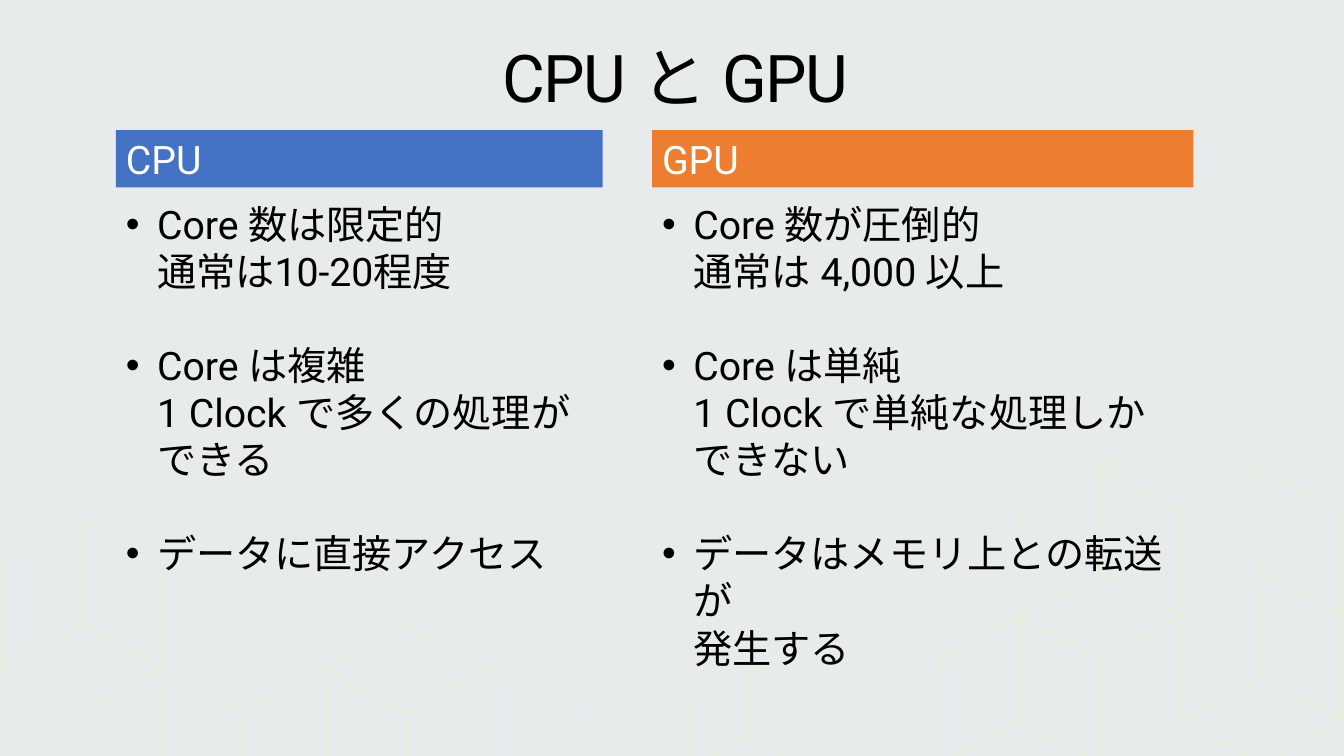
from lxml import etree
from pptx import Presentation
from pptx.dml.color import RGBColor
from pptx.enum.lang import MSO_LANGUAGE_ID as Lang
from pptx.enum.shapes import MSO_CONNECTOR as Conn, MSO_SHAPE as Geo
from pptx.enum.text import MSO_ANCHOR as Anchor, MSO_AUTO_SIZE as Fit, PP_ALIGN as Align
from pptx.oxml.ns import qn
from pptx.util import Inches, Pt

COLS, ROWS = 160, 90
STEP, HALF, EDGE = 9.62, 5.25, 12.39

FACES = {
    "left": [[(0, 0, 0), (-1, 1, 0), (-1, 1, 1), (0, 0, 1)]],
    "right": [[(0, 0, 0), (1, 1, 0), (1, 1, 1), (0, 0, 1)]],
    "top": [[(0, 0, 0), (1, 1, 0), (0, 2, 0), (-1, 1, 0)]],
    "roof": [[(-1, 1, 0), (0, 0, 0), (1, 1, 0)]],
    "box": [
        [(-1, 1, 0), (0, 2, 0), (0, 2, 1), (-1, 3, 1), (-2, 2, 1), (-1, 1, 1)],
        [(0, 0, 0), (1, 1, 0), (0, 2, 0), (-1, 1, 0)],
    ],
}

CUBES = [
    ((111.7, 50.5), 1, [
        ("left", 1, 2, 1), ("right", 1, 2, 1), ("roof", 1, 2, 2),
        ("left", 2, 1, 0), ("box", 3, 0, 0), ("left", 4, 1, 1),
        ("right", 4, 1, 1), ("top", 4, 1, 2), ("right", 4, 1, 0),
    ]),
    ((0.1, 62), 1, [
        ("left", 4, 1, 1), ("right", 2, 1, 1), ("right", 1, 0, 0),
        ("left", 1, 0, 0), ("top", 1, 0, 1), ("box", 5, 0, 1),
        ("right", 6, 1, 1),
    ]),
    ((82.2, 78.7), 0.72, [
        ("left", 1, 0, 0), ("right", 1, 0, 0), ("roof", 1, 0, 1),
    ]),
]

PANELS = [
    ("GPU", "ED7D31", 77.64, 64.44, 62.04, [
        "Core 数が圧倒的\n通常は 4,000 以上",
        "Core は単純\n1 Clock で単純な処理しか\nできない",
        "データはメモリ上との転送が\n発生する",
    ]),
    ("CPU", "4472C4", 13.8, 57.96, 57.96, [
        "Core 数は限定的\n通常は10-20程度",
        "Core は複雑\n1 Clock で多くの処理が\nできる",
        "データに直接アクセス",
    ]),
]


def paint(code):
    return RGBColor.from_string(code)


class Deck:
    font, ink, pale, wash = "Roboto", "000000", "E2F0D9", "E7EBEC"
    size = 28

    def __init__(self):
        self.prs = Presentation()
        self.prs.slide_width = Inches(13.33)
        self.prs.slide_height = Inches(7.5)
        self.slide = self.prs.slides.add_slide(self.prs.slide_layouts[5])
        self.items = self.slide.shapes
        back = self.slide.background.fill
        back.solid()
        back.fore_color.rgb = paint(self.wash)

    def spot(self, col, row):
        return (round(self.prs.slide_width * col / COLS),
                round(self.prs.slide_height * row / ROWS))

    def area(self, col, row, wide, high):
        return self.spot(col, row) + self.spot(wide, high)

    def words(self, para, text, size, code):
        for num, part in enumerate(text.split("\n")):
            if num:
                para.add_line_break()
            run = para.add_run()
            run.text = part
            font = run.font
            font.size, font.name = Pt(size), self.font
            font.language_id = Lang.JAPANESE
            font.color.rgb = paint(code)
            east = etree.Element(qn("a:ea"), typeface=self.font)
            font._element.find(qn("a:latin")).addnext(east)

    def title(self, text):
        head = self.items.title
        head.left, head.top, head.width, head.height = self.area(3.6, 3.84, 153.6, 11.76)
        frame = head.text_frame
        frame.auto_size, frame.vertical_anchor = Fit.NONE, Anchor.MIDDLE
        frame.margin_left = frame.margin_right = Inches(0.16)
        frame.margin_top = frame.margin_bottom = Inches(0.1)
        para = frame.paragraphs[0]
        para.alignment, para.line_spacing = Align.CENTER, 0.9
        self.words(para, text, 47, self.ink)
        for run in para.runs:
            run.font._element.set("spc", "-100")

    def node(self, base, zoom, col, half, edge):
        return self.spot(base[0] + zoom * col * STEP,
                         base[1] + zoom * (half * HALF + edge * EDGE))

    def face(self, base, zoom, kind, col, half, edge):
        pen = None
        for ring in FACES[kind]:
            pts = [self.node(base, zoom, col + c, half + h, edge + e) for c, h, e in ring]
            if pen is None:
                pen = self.items.build_freeform(*pts[0], scale=1.0)
            else:
                pen.move_to(*pts[0])
            pen.add_line_segments(pts[1:], close=kind != "roof")
        form = pen.convert_to_shape()
        form.shadow.inherit = False
        form.fill.background()
        self.trace(form.line)

    def trace(self, line):
        line.color.rgb, line.width = paint(self.pale), Pt(1.38)

    def link(self, start, end):
        wire = self.items.add_connector(Conn.STRAIGHT, *start, *end)
        self.trace(wire.line)
        etree.SubElement(wire._element.spPr, qn("a:effectLst"))

    def band(self, text, code, *area):
        bar = self.items.add_shape(Geo.RECTANGLE, *self.area(*area))
        bar.shadow.inherit = False
        bar.fill.solid()
        bar.fill.fore_color.rgb = paint(code)
        bar.line.fill.background()
        bar.text_frame.vertical_anchor = Anchor.TOP
        para = bar.text_frame.paragraphs[0]
        para.alignment = Align.LEFT
        self.words(para, text, self.size, "FFFFFF")

    def points(self, texts, *area):
        frame = self.items.add_textbox(*self.area(*area)).text_frame
        frame.word_wrap = True
        for num, text in enumerate(texts):
            para = frame.add_paragraph() if num else frame.paragraphs[0]
            if num:
                para.space_before = Pt(33.5)
            props = para._p.get_or_add_pPr()
            props.set("marL", str(Inches(0.31)))
            props.set("indent", str(-Inches(0.31)))
            etree.SubElement(props, qn("a:buFont"), typeface="Arial")
            etree.SubElement(props, qn("a:buChar"), char="•")
            self.words(para, text, self.size, self.ink)


def main():
    deck = Deck()
    deck.title("CPU と GPU")
    for base, zoom, faces in CUBES:
        for face in faces:
            deck.face(base, zoom, *face)
    base, zoom, _ = CUBES[0]
    deck.link(deck.node(base, zoom, 2, 1, 1), deck.node(base, zoom, 3, 2, 1))
    for name, code, left, wide, span, texts in PANELS:
        deck.band(name, code, left, 15.48, wide, 6.84)
        deck.points(texts, left, 23.28, span, 57.72)
    deck.prs.save("out.pptx")


if __name__ == "__main__":
    main()
